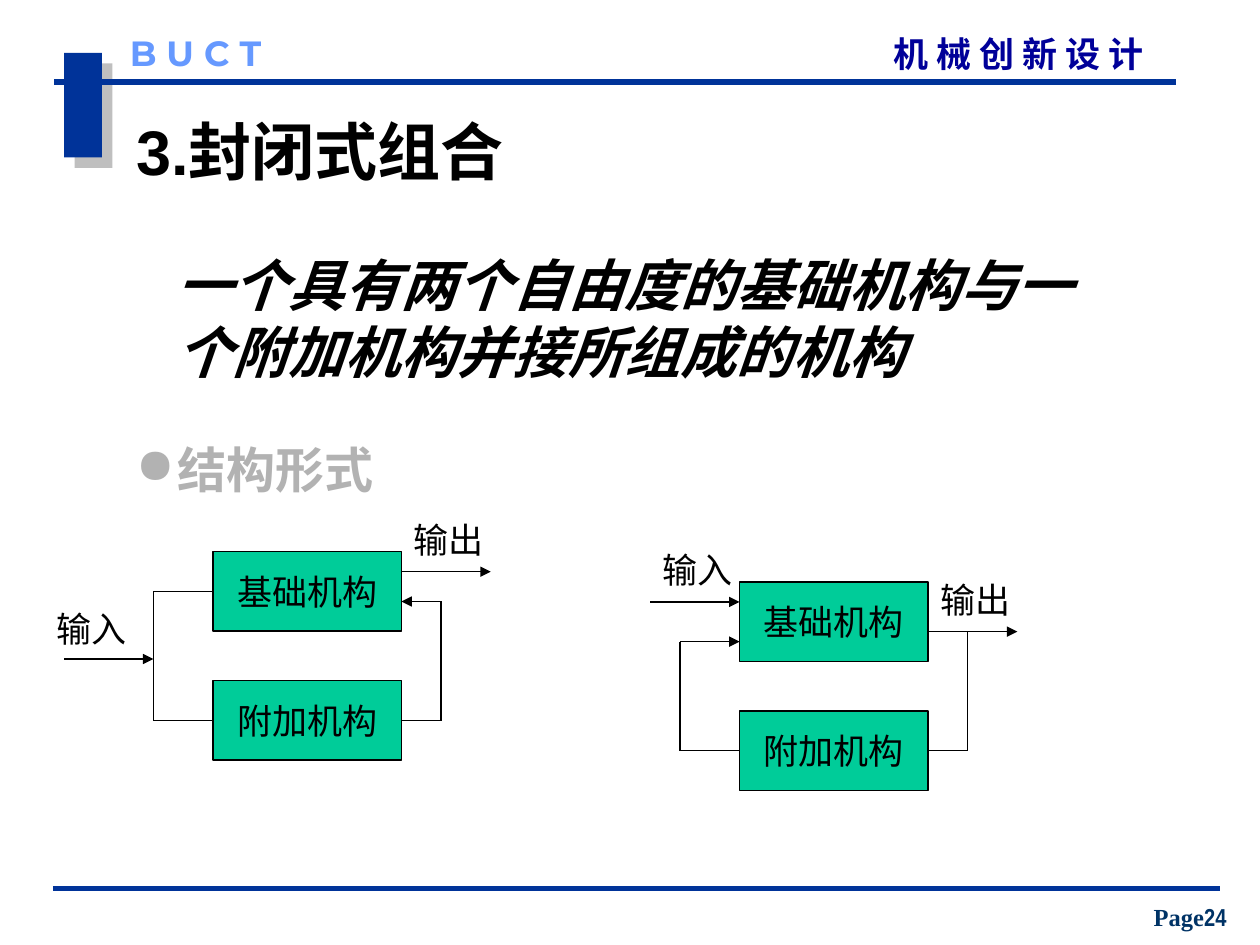
"""Build the slide on closed combinations of mechanisms."""
from dataclasses import dataclass

from lxml import etree
from pptx import Presentation
from pptx.dml.color import RGBColor
from pptx.enum.shapes import MSO_CONNECTOR, MSO_SHAPE
from pptx.enum.text import MSO_ANCHOR, MSO_AUTO_SIZE, PP_ALIGN
from pptx.oxml import parse_xml
from pptx.oxml.ns import nsdecls, qn
from pptx.util import Inches, Mm, Pt

LINE, RECT = MSO_CONNECTOR.STRAIGHT, MSO_SHAPE.RECTANGLE
TOP, MID, LOW = MSO_ANCHOR.TOP, MSO_ANCHOR.MIDDLE, MSO_ANCHOR.BOTTOM
LEFT, MIDST, RIGHT = PP_ALIGN.LEFT, PP_ALIGN.CENTER, PP_ALIGN.RIGHT


@dataclass(frozen=True)
class Theme:
    """Colours, fonts and type sizes."""
    ink: str = "000000"
    blue: str = "003399"
    navy: str = "000099"
    sky: str = "6699FF"
    deep: str = "003366"
    grey: str = "B2B2B2"
    green: str = "00CC99"
    face: str = "Arial"
    han: str = "Noto Sans CJK SC"
    brand: str = "Montserrat"
    serif: str = "Times New Roman"
    slim: str = "Arial Narrow"
    title: int = 36
    body: int = 32
    point: int = 28
    label: int = 20
    foot: int = 14
    rule: float = 3
    wire: float = 0.75


T = Theme()
TITLE = "3.封闭式组合"
BODY = "一个具有两个自由度的基础机构与一个附加机构并接所组成的机构"
POINT = "结构形式"
HEADS = [
    ("机 械 创 新 设 计", (5.44, 0.26, 3.64, 0.33), T.han, T.navy, RIGHT),
    ("B U C T", (1.03, 0.25, 1.42, 0.33), T.brand, T.sky, LEFT),
]
PAGE = [("Page", T.serif), ("24", T.slim)]
RULES = [(0.43, 9.33, 0.65), (0.42, 9.68, 7.05)]

UNIT = Mm(2)
WIDE, HIGH, STEP = 19, 8, 13
NAMES = ["基础机构", "附加机构"]
CHARTS = [
    {
        "origin": (1.69, 4.38),
        "labels": [("输入", -17, 5), ("输出", 19, -4)],
        "wires": [[(0, 4), (-6, 4), (-6, 17), (0, 17)]],
        "arrows": [
            [(-15, 10.8), (-6, 10.8)],
            [(19, 2), (28, 2)],
            [(19, 17), (23, 17), (23, 5), (19, 5)],
        ],
    },
    {
        "origin": (5.87, 4.62),
        "labels": [("输入", -9, -4), ("输出", 19, -1)],
        "wires": [[(19, 17), (23, 17), (23, 5)]],
        "arrows": [
            [(-9, 2), (0, 2)],
            [(19, 5), (28, 5)],
            [(0, 17), (-6, 17), (-6, 6), (0, 6)],
        ],
    },
]


def tint(color):
    return RGBColor.from_string(color)


def style(font, size, color, face=T.face, bold=False, italic=False):
    font.size, font.name = Pt(size), face
    font.bold, font.italic = bold, italic
    font.color.rgb = tint(color)


def frame(shape, pad=True, anchor=TOP, wrap=True):
    area = shape.text_frame
    area.word_wrap, area.auto_size = wrap, MSO_AUTO_SIZE.NONE
    area.vertical_anchor = anchor
    area.margin_left = area.margin_right = Inches(0.1 if pad else 0)
    area.margin_top = area.margin_bottom = Inches(0.05 if pad else 0)
    return area.paragraphs[0]


def write(slide, text, place, size, color, align=LEFT, pad=True, **look):
    para = frame(slide.shapes.add_textbox(*place), pad)
    para.text, para.alignment = text, align
    style(para.font, size, color, **look)
    return para


def inch(*nums):
    return [Inches(num) for num in nums]


def block(slide, place, fill, edge=None):
    shape = slide.shapes.add_shape(RECT, *place)
    shape.shadow.inherit = False
    shape.fill.solid()
    shape.fill.fore_color.rgb = tint(fill)
    if edge:
        shape.line.color.rgb, shape.line.width = tint(edge), Pt(T.wire)
    else:
        shape.line.fill.background()
    return shape


def stroke(slide, start, end, color, width, arrow=False):
    line = slide.shapes.add_connector(LINE, *start, *end)
    line.line.color.rgb, line.line.width = tint(color), Pt(width)
    if arrow:
        etree.SubElement(line.line._get_or_add_ln(), qn("a:tailEnd"), type="triangle")
    etree.SubElement(line._element.spPr, qn("a:effectLst"))


def header(slide):
    mark = block(slide, inch(0.51, 0.42, 0.3, 0.83), T.blue)
    glow = mark._element.spPr.find(qn("a:effectLst"))
    glow.append(parse_xml(
        f'<a:outerShdw {nsdecls("a")} blurRad="0" dist="{Pt(8.5)}" dir="2700000">'
        '<a:srgbClr val="808080"><a:alpha val="50000"/></a:srgbClr></a:outerShdw>'))
    for left, right, y in RULES:
        stroke(slide, inch(left, y), inch(right, y), T.blue, T.rule)
    for text, place, face, color, align in HEADS:
        write(slide, text, inch(*place), T.label, color, align, False,
              face=face, bold=True)


def footer(slide):
    para = frame(slide.shapes.add_textbox(*inch(8.97, 7.11, 0.95, 0.33)), anchor=LOW)
    para.alignment = MIDST
    for text, face in PAGE:
        run = para.add_run()
        run.text = text
        style(run.font, T.foot, T.deep, face, True)


def content(slide):
    title = slide.shapes.title
    title.left, title.top, title.width, title.height = inch(0.98, 0.84, 3.54, 0.7)
    title.text = TITLE
    para = frame(title)
    para.alignment = LEFT
    style(para.font, T.title, T.ink, bold=True)
    write(slide, BODY, inch(1.3, 1.94, 7.4, 1.17), T.body, T.ink,
          bold=True, italic=True)
    para = frame(slide.shapes.add_textbox(*inch(0.98, 3.44, 2.76, 0.57)))
    para.text = POINT
    props = para._p.get_or_add_pPr()
    props.set("marL", str(Inches(0.33)))
    props.set("indent", str(-Inches(0.33)))
    etree.SubElement(props, qn("a:buChar"), char="●")
    style(para.font, T.point, T.grey, bold=True)


def chart(slide, data):
    left, top = inch(*data["origin"])

    def spot(x, y):
        return round(left + x * UNIT), round(top + y * UNIT)

    for row, name in enumerate(NAMES):
        place = *spot(0, row * STEP), WIDE * UNIT, HIGH * UNIT
        para = frame(block(slide, place, T.green, T.ink), anchor=MID, wrap=False)
        para.text, para.alignment = name, MIDST
        style(para.font, T.label, T.ink)
    for kind in ("wires", "arrows"):
        for route in data[kind]:
            ends = [spot(*node) for node in route]
            for start, end in zip(ends, ends[1:]):
                tip = kind == "arrows" and end == ends[-1]
                stroke(slide, start, end, T.ink, T.wire, tip)
    for text, x, y in data["labels"]:
        write(slide, text, (*spot(x, y), *inch(0.79, 0.44)), T.label, T.ink)


def main():
    deck = Presentation()
    deck.slide_width, deck.slide_height = inch(10, 7.5)
    slide = deck.slides.add_slide(deck.slide_layouts[5])
    header(slide)
    content(slide)
    for data in CHARTS:
        chart(slide, data)
    footer(slide)
    deck.save("out.pptx")


if __name__ == "__main__":
    main()
